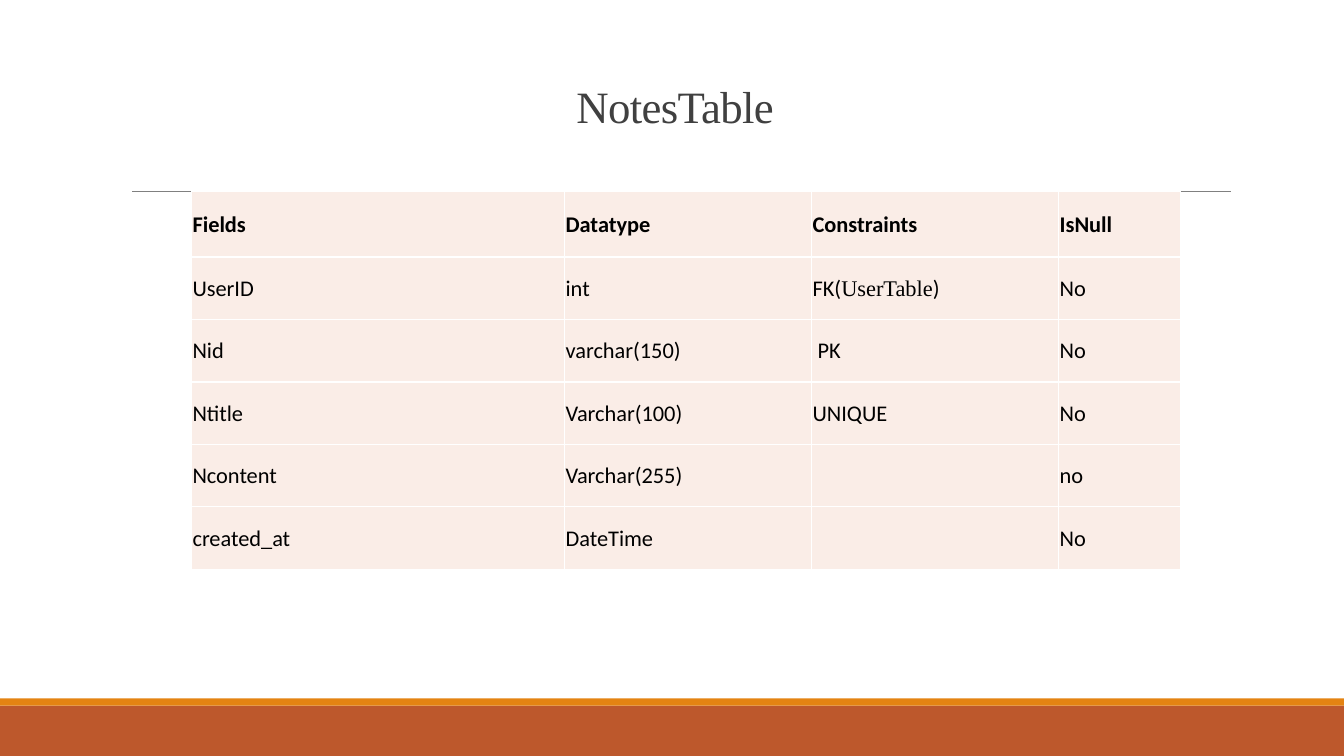
from lxml import etree
from pptx import Presentation
from pptx.dml.color import RGBColor
from pptx.enum.shapes import MSO_CONNECTOR, MSO_SHAPE
from pptx.enum.text import MSO_ANCHOR, PP_ALIGN
from pptx.oxml.ns import qn
from pptx.util import Inches, Pt

STRAIGHT = MSO_CONNECTOR.STRAIGHT
RECTANGLE = MSO_SHAPE.RECTANGLE
MIDDLE, BOTTOM = MSO_ANCHOR.MIDDLE, MSO_ANCHOR.BOTTOM
CENTER = PP_ALIGN.CENTER

RUST = RGBColor(0xBD, 0x58, 0x2C)
ORANGE = RGBColor(0xE4, 0x83, 0x12)
RULE_GRAY = RGBColor(0x80, 0x80, 0x80)
TITLE_GRAY = RGBColor(0x40, 0x40, 0x40)
CELL_PINK = RGBColor(0xFA, 0xED, 0xE7)
WHITE = RGBColor(0xFF, 0xFF, 0xFF)
BLACK = RGBColor(0, 0, 0)

BODY_FONT = "Calibri"
SERIF_FONT = "Times New Roman"

SLIDE_WIDTH, SLIDE_HEIGHT = 13.33, 7.5
FOOTER_TOP = 7
STRIPE_HEIGHT = 0.07
TABLE_LEFT, TABLE_TOP = 1.9, 1.9
COLUMN_WIDTHS = (3.7, 2.45, 2.45, 1.21)
HEADER_HEIGHT, ROW_HEIGHT = 0.65, 0.62
CELL_INSET = 0.01

ROWS = (
    ("Fields", "Datatype", "Constraints", "IsNull"),
    ("UserID", "int", ("FK(", "UserTable", ")"), "No"),
    ("Nid", "varchar(150)", " PK", "No"),
    ("Ntitle", "Varchar(100)", "UNIQUE", "No"),
    ("Ncontent", "Varchar(255)", "", "no"),
    ("created_at", "DateTime", "", "No"),
)


def add_band(slide, top, height, color):
    band = slide.shapes.add_shape(
        RECTANGLE, 0, Inches(top), Inches(SLIDE_WIDTH), Inches(height))
    band.shadow.inherit = False
    band.fill.solid()
    band.fill.fore_color.rgb = color
    band.line.fill.background()


def add_rule(slide, left, right, y):
    rule = slide.shapes.add_connector(
        STRAIGHT, Inches(left), Inches(y), Inches(right), Inches(y))
    rule.line.color.rgb = RULE_GRAY
    rule.line.width = Pt(0.5)
    etree.SubElement(rule._element.spPr, qn("a:effectLst"))


def add_title(slide, text):
    box = slide.shapes.add_textbox(
        Inches(1.19), Inches(0.31), Inches(11.01), Inches(1.59))
    frame = box.text_frame
    frame.word_wrap = True
    frame.vertical_anchor = BOTTOM
    frame.margin_bottom = Inches(0.58)
    paragraph = frame.paragraphs[0]
    paragraph.alignment = CENTER
    paragraph.line_spacing = 0.85
    run = paragraph.add_run()
    run.text = text
    paragraph.font.size = Pt(32)
    paragraph.font.name = SERIF_FONT
    paragraph.font.color.rgb = TITLE_GRAY
    run.font._element.set("spc", "-50")


def set_borders(cell, color, width):
    properties = cell._tc.get_or_add_tcPr()
    for position, side in enumerate(("lnL", "lnR", "lnT", "lnB")):
        border = etree.Element(qn(f"a:{side}"), w=str(Pt(width)))
        fill = etree.SubElement(border, qn("a:solidFill"))
        etree.SubElement(fill, qn("a:srgbClr"), val=str(color))
        properties.insert(position, border)


def fill_cell(cell, content, bold):
    cell.fill.solid()
    cell.fill.fore_color.rgb = CELL_PINK
    cell.vertical_anchor = MIDDLE
    cell.margin_left = cell.margin_right = cell.margin_top = Inches(CELL_INSET)
    cell.margin_bottom = 0
    set_borders(cell, WHITE, 1)
    paragraph = cell.text_frame.paragraphs[0]
    paragraph.font.size = Pt(16)
    paragraph.font.name = BODY_FONT
    paragraph.font.bold = bold
    paragraph.font.color.rgb = BLACK
    parts = (content,) if isinstance(content, str) else content
    for index, part in enumerate(parts):
        run = paragraph.add_run()
        run.text = part
        if index == 1:
            run.font.name = SERIF_FONT


def add_field_table(slide):
    height = HEADER_HEIGHT + ROW_HEIGHT * (len(ROWS) - 1)
    table = slide.shapes.add_table(
        len(ROWS), len(COLUMN_WIDTHS), Inches(TABLE_LEFT), Inches(TABLE_TOP),
        Inches(sum(COLUMN_WIDTHS)), Inches(height)).table
    table.horz_banding = False
    for column, width in zip(table.columns, COLUMN_WIDTHS):
        column.width = Inches(width)
    for row_index, contents in enumerate(ROWS):
        is_header = row_index == 0
        row = table.rows[row_index]
        row.height = Inches(HEADER_HEIGHT if is_header else ROW_HEIGHT)
        for cell, content in zip(row.cells, contents):
            fill_cell(cell, content, is_header)


def main():
    presentation = Presentation()
    presentation.slide_width = Inches(SLIDE_WIDTH)
    presentation.slide_height = Inches(SLIDE_HEIGHT)
    slide = presentation.slides.add_slide(presentation.slide_layouts[6])
    add_band(slide, FOOTER_TOP, SLIDE_HEIGHT - FOOTER_TOP, RUST)
    add_band(slide, FOOTER_TOP - STRIPE_HEIGHT, STRIPE_HEIGHT, ORANGE)
    add_rule(slide, 1.31, 12.21, TABLE_TOP)
    add_field_table(slide)
    add_title(slide, "NotesTable")
    presentation.save("out.pptx")


if __name__ == "__main__":
    main()
